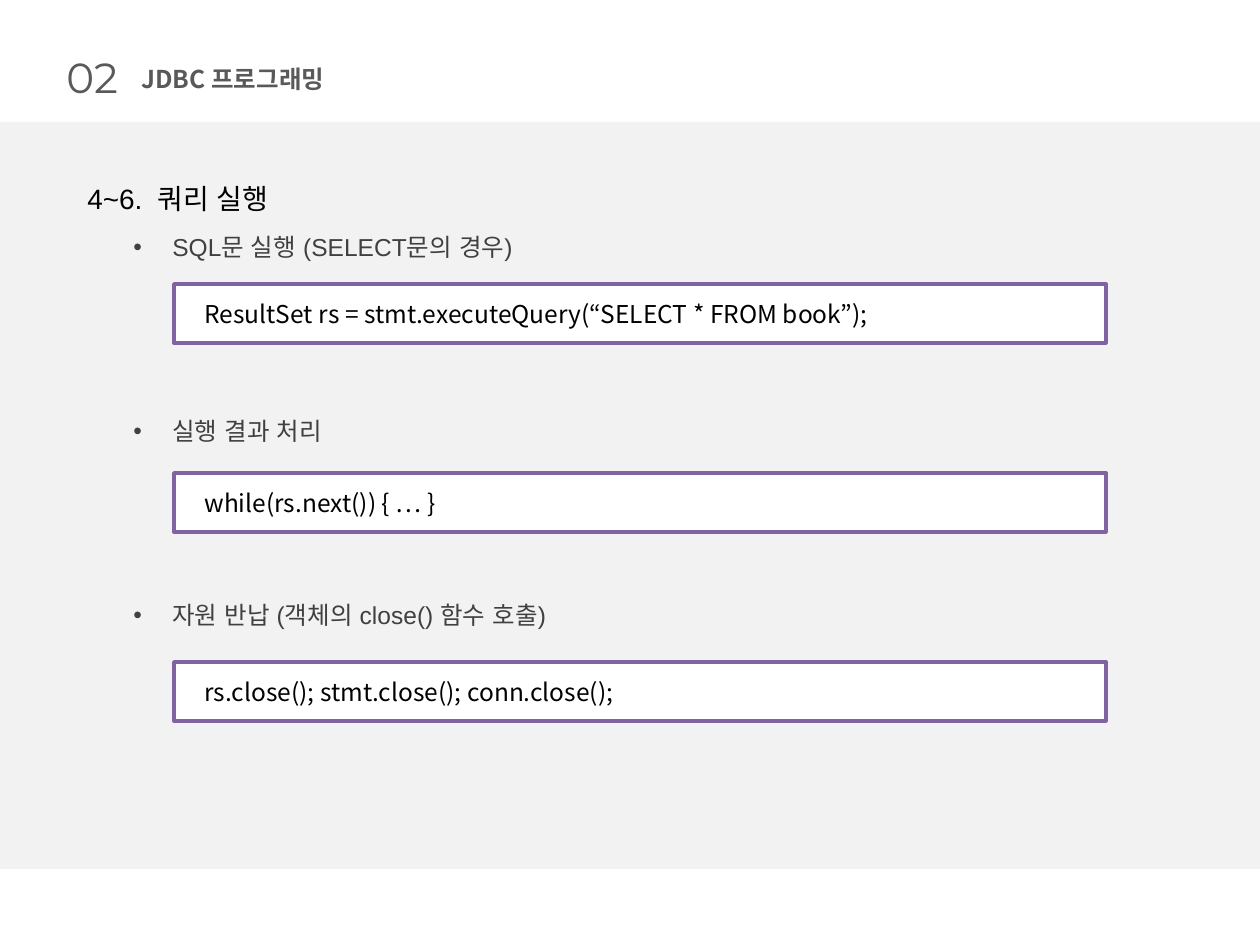
import dataclasses

import pptx
import pptx.dml.color
import pptx.enum.shapes
import pptx.enum.text
import pptx.oxml.ns
import pptx.util
from lxml import etree

SCALE = 914400 / 126  # EMU in one px


@dataclasses.dataclass(frozen=True)
class Theme:
    band: str = "F2F2F2"
    head: str = "595959"
    ink: str = "000000"
    note: str = "404040"
    edge: str = "8064A2"
    white: str = "FFFFFF"
    sans: str = "Arial"
    thin: str = "Montserrat"
    cjk: str = "Noto Sans CJK KR"
    huge: int = 24
    big: int = 16
    base: int = 14


THEME = Theme()
STEPS = [
    ("SQL문 실행 (SELECT문의 경우)",
     "ResultSet rs = stmt.executeQuery(“SELECT * FROM book”);"),
    ("실행 결과 처리", "while(rs.next()) { … }"),
    ("자원 반납 (객체의 close() 함수 호출)",
     "rs.close(); stmt.close(); conn.close();"),
]


def px(num):
    return round(num * SCALE)


def rgb(code):
    return pptx.dml.color.RGBColor.from_string(code)


def put(item, form):
    for key, val in form.items():
        setattr(item, key, val)


def add_run(para, text, face, size, color, bold=False):
    run = para.add_run()
    run.text = text
    put(run.font, {"name": face, "size": pptx.util.Pt(size), "bold": bold})
    run.font.color.rgb = rgb(color)
    # Hangul takes its face from a:ea
    props = run.font._element
    etree.SubElement(props, pptx.oxml.ns.qn("a:ea")).set("typeface", face)


def indent(para, left, hang=0):
    props = para._p.get_or_add_pPr()
    props.set("marL", str(px(left)))
    props.set("indent", str(px(hang)))
    return props


def space(para, level, above):
    put(para, {"level": level, "space_before": pptx.util.Pt(above),
               "space_after": pptx.util.Pt(4)})


def add_bullet(para):
    props = indent(para, 94, -39)
    for tag, key, val in (("a:buFont", "typeface", THEME.sans),
                          ("a:buChar", "char", "•")):
        etree.SubElement(props, pptx.oxml.ns.qn(tag)).set(key, val)


def add_text(slide, left, top, width, height, wrap):
    box = slide.shapes.add_textbox(px(left), px(top), px(width), px(height))
    put(box.text_frame, {
        "word_wrap": wrap,
        "auto_size": pptx.enum.text.MSO_AUTO_SIZE.SHAPE_TO_FIT_TEXT})
    return box.text_frame


def add_rect(slide, left, top, width, height, fill, edge=None):
    rect = slide.shapes.add_shape(
        pptx.enum.shapes.MSO_SHAPE.RECTANGLE,
        px(left), px(top), px(width), px(height))
    rect.shadow.inherit = False
    rect.fill.solid()
    rect.fill.fore_color.rgb = rgb(fill)
    if edge:
        rect.line.color.rgb = rgb(edge)
        rect.line.width = pptx.util.Pt(2)
    else:
        rect.line.fill.background()
    return rect


def add_head(slide):
    num = add_text(slide, 54, 45, 82, 63, False)
    add_run(num.paragraphs[0], "02", THEME.thin, THEME.huge, THEME.head)
    name = add_text(slide, 129, 58, 218, 43, False)
    add_run(name.paragraphs[0], "JDBC 프로그래밍", THEME.cjk, THEME.base,
            THEME.head, True)


def add_list(slide):
    frame = add_text(slide, 66, 175, 1120, 525, True)
    para = frame.paragraphs[0]
    space(para, 1, 20)
    indent(para, 9)
    add_run(para, "4~6.  쿼리 실행", THEME.sans, THEME.big, THEME.ink)
    for row, (note, _) in enumerate(STEPS):
        para = frame.add_paragraph()
        # Later bullets leave room for the code box above them
        space(para, 2, 84.3 if row else 6)
        add_bullet(para)
        add_run(para, note, THEME.sans, THEME.base, THEME.note)


def add_code(slide, row, code):
    rect = add_rect(slide, 174, 284 + 189 * row, 932, 59,
                    THEME.white, THEME.edge)
    rect.text_frame.vertical_anchor = pptx.enum.text.MSO_ANCHOR.MIDDLE
    para = rect.text_frame.paragraphs[0]
    para.alignment = pptx.enum.text.PP_ALIGN.LEFT
    indent(para, 18)
    add_run(para, code, THEME.cjk, THEME.base, THEME.ink)


def main():
    deck = pptx.Presentation()
    put(deck, {"slide_width": px(1260), "slide_height": px(945)})
    slide = deck.slides.add_slide(deck.slide_layouts[6])
    # Grey band and header
    add_rect(slide, 0, 122, 1260, 747, THEME.band)
    add_head(slide)
    # Steps, each with its code
    add_list(slide)
    for row, (_, code) in enumerate(STEPS):
        add_code(slide, row, code)
    deck.save("out.pptx")


if __name__ == "__main__":
    main()
